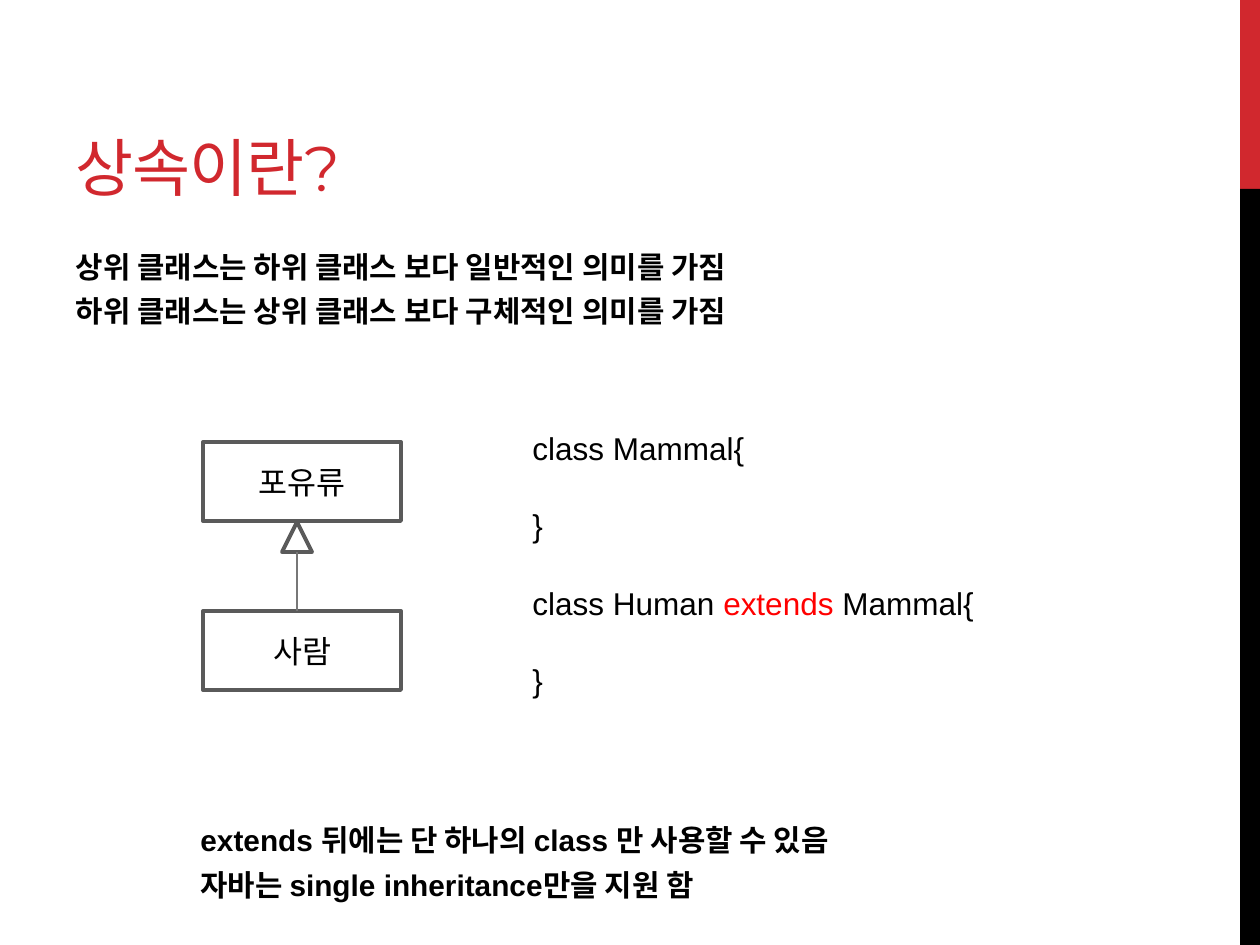
from pptx import Presentation
from pptx.dml.color import RGBColor
from pptx.enum.shapes import MSO_CONNECTOR, MSO_SHAPE
from pptx.enum.text import MSO_ANCHOR, MSO_AUTO_SIZE, PP_ALIGN
from pptx.util import Emu, Pt
from lxml.etree import SubElement
from pptx.oxml.ns import qn

RED = RGBColor(0xD1, 0x28, 0x2E)
KEYWORD = RGBColor(0xFF, 0x00, 0x00)
BLACK = RGBColor(0x00, 0x00, 0x00)
GRAY = RGBColor(0x5A, 0x5A, 0x5A)
LINE_GRAY = RGBColor(0x77, 0x77, 0x77)


def px(*values):
    return [Emu(round(v * 914400 / 126)) for v in values]


def write(tf, lines, size=18, font="Arial", color=BLACK, bold=False, align=PP_ALIGN.LEFT,
          anchor=MSO_ANCHOR.TOP, before=0, after=0, wrap=True, spacing=0):
    """Each line is a list of strings or (string, color) pairs."""
    tf.auto_size = MSO_AUTO_SIZE.NONE
    tf.word_wrap = wrap
    tf.vertical_anchor = anchor
    for i, line in enumerate(lines):
        p = tf.paragraphs[0] if i == 0 else tf.add_paragraph()
        p.alignment = align
        p.space_before = Pt(before if i else 0)
        p.space_after = Pt(after)
        pPr = p._p.get_or_add_pPr()
        pPr.set("marL", "0")
        pPr.set("indent", "0")
        SubElement(pPr, qn("a:buNone"))
        for part in line:
            text, run_color = (part, color) if isinstance(part, str) else part
            r = p.add_run()
            r.text = text
            r.font.size = Pt(size)
            r.font.name = font
            r.font.bold = bold
            r.font.color.rgb = run_color
            if spacing:
                r._r.get_or_add_rPr().set("spc", str(spacing))


prs = Presentation()
prs.slide_width, prs.slide_height = px(1260, 945)
s = prs.slides.add_slide(prs.slide_layouts[1])

# Side bar
for top, height, color in [(0, 189, RED), (189, 756, BLACK)]:
    sp = s.shapes.add_shape(MSO_SHAPE.RECTANGLE, *px(1240, top, 20, height))
    sp.shadow.inherit = False
    sp.fill.solid()
    sp.fill.fore_color.rgb = color
    sp.line.fill.background()

# Title and main points
title, body = s.placeholders
title.left, title.top, title.width, title.height = px(63, 21, 798, 189)
write(title.text_frame, [["상속이란?"]], size=36, font="Montserrat", color=RED,
      anchor=MSO_ANCHOR.BOTTOM, spacing=-60)
body.left, body.top, body.width, body.height = px(63, 242, 1050, 110)
write(body.text_frame, [["상위 클래스는 하위 클래스 보다 일반적인 의미를 가짐"],
                        ["하위 클래스는 상위 클래스 보다 구체적인 의미를 가짐"]],
      size=17, bold=True, after=5)

# Class diagram
for kind, box, label in [(MSO_SHAPE.RECTANGLE, (203, 442, 198, 79), "포유류"),
                         (MSO_SHAPE.ISOSCELES_TRIANGLE, (282, 522, 30, 30), ""),
                         (MSO_SHAPE.RECTANGLE, (203, 611, 198, 79), "사람")]:
    sp = s.shapes.add_shape(kind, *px(*box))
    sp.shadow.inherit = False
    sp.fill.background()
    sp.line.color.rgb = GRAY
    sp.line.width = Pt(2.25)
    if label:
        write(sp.text_frame, [[label]], align=PP_ALIGN.CENTER, anchor=MSO_ANCHOR.MIDDLE)

stem = s.shapes.add_connector(MSO_CONNECTOR.STRAIGHT, *px(297, 552, 297, 611))
stem.line.color.rgb = LINE_GRAY
stem.line.width = Pt(1)
SubElement(stem._element.spPr, qn("a:effectLst"))

# Code
code = s.shapes.add_textbox(*px(520, 423, 471, 280))
write(code.text_frame, [["class Mammal{"], ["}"],
                        ["class Human ", ("extends", KEYWORD), " Mammal{"], ["}"]],
      before=22.5, wrap=False)

# Notes on extends
rules = s.shapes.add_textbox(*px(188, 816, 860, 110))
write(rules.text_frame, [["extends 뒤에는 단 하나의 class 만 사용할 수 있음"],
                         ["자바는 single inheritance만을 지원 함"]],
      size=17, bold=True, after=5)

prs.save("out.pptx")
